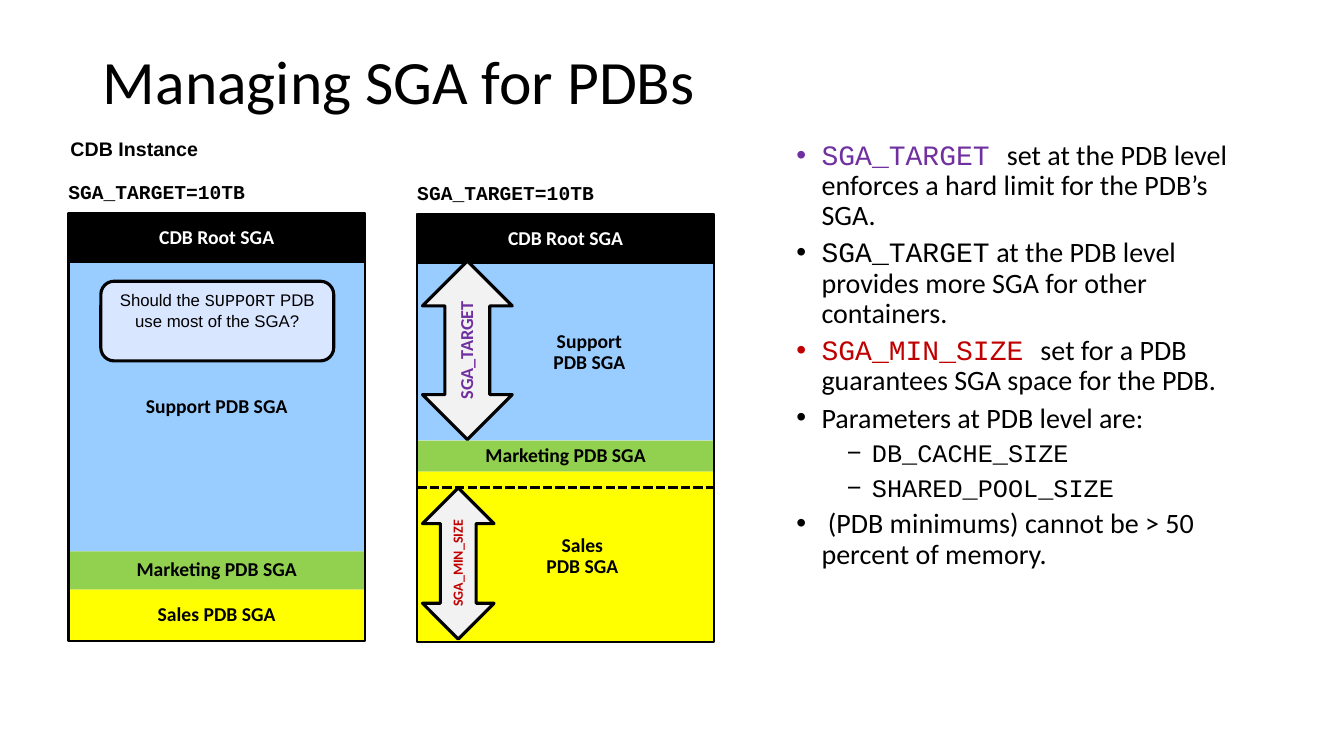
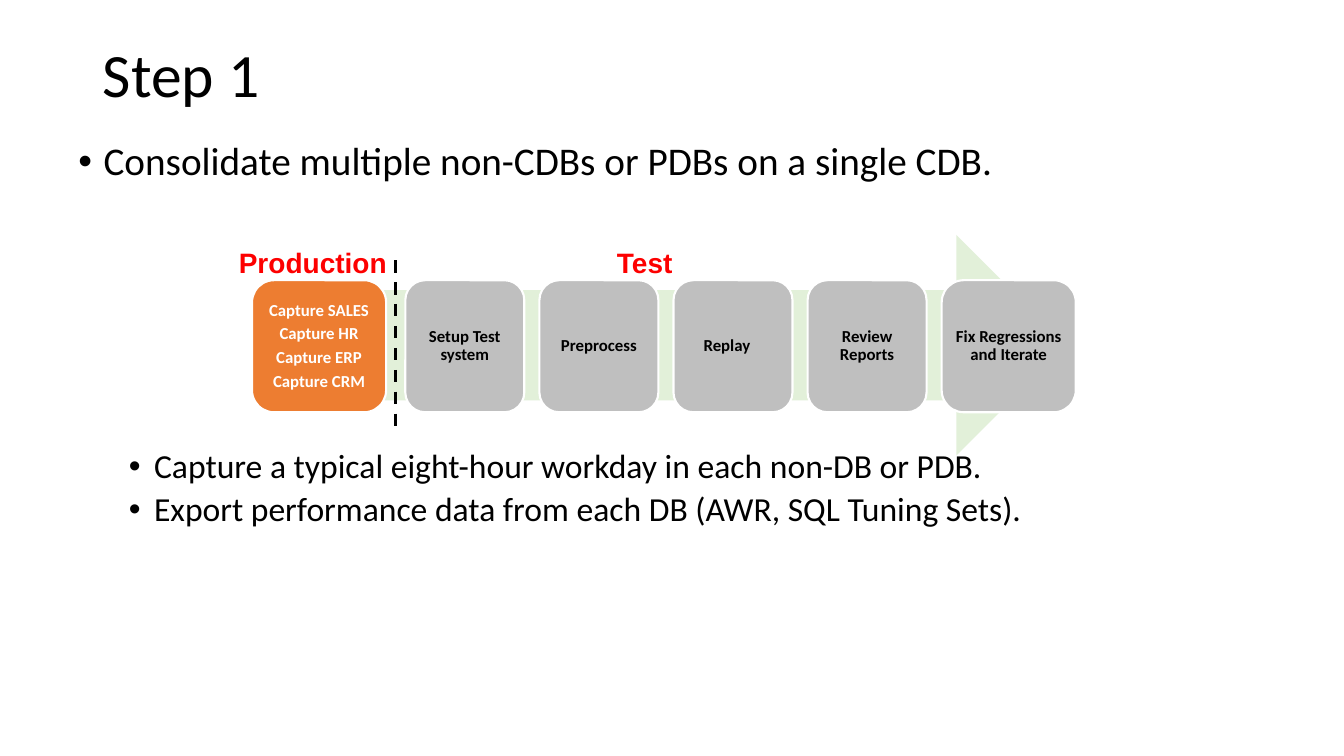
import pptx
import pptx.dml.color
import pptx.enum.dml
import pptx.enum.shapes
import pptx.enum.text
import pptx.oxml.ns
import pptx.util
from lxml import etree

Inches = pptx.util.Inches
Pt = pptx.util.Pt
Shapes = pptx.enum.shapes.MSO_SHAPE
Align = pptx.enum.text.PP_ALIGN
Anchor = pptx.enum.text.MSO_ANCHOR
Dash = pptx.enum.dml.MSO_LINE

BLACK = "000000"
WHITE = "FFFFFF"
SKY = "99CCFF"
GREEN = "92D050"
YELLOW = "FFFF00"
PURPLE = "7030A0"
DARK_RED = "C00000"
RED = "FD0000"
GREY = "BFBFBF"
ORANGE = "ED7D31"
PALE_GREEN = "E2F0D9"
PALE_GREY = "F2F2F2"
PALE_BLUE = "D9E6FF"
SANS = "Calibri"
LABEL = "Arial"
MONO = "Courier New"


def color(hex_value):
    return pptx.dml.color.RGBColor.from_string(hex_value)


def format_run(run, size, font, fill, bold):
    run.font.size = Pt(size)
    run.font.name = font
    run.font.bold = bold
    run.font.color.rgb = color(fill)


def write_text(shape, paragraphs, size=14, font=SANS, fill=BLACK, bold=False,
               align=Align.LEFT, anchor=Anchor.TOP, spacing=0.9, before=0, after=0,
               margins=(0.1, 0.05, 0.1, 0.05), wrap=True):
    frame = shape.text_frame
    frame.auto_size = pptx.enum.text.MSO_AUTO_SIZE.NONE
    frame.word_wrap = wrap
    frame.vertical_anchor = anchor
    frame.margin_left, frame.margin_top, frame.margin_right, frame.margin_bottom = map(Inches, margins)
    for index, runs in enumerate(paragraphs):
        paragraph = frame.add_paragraph() if index else frame.paragraphs[0]
        paragraph.alignment = align
        paragraph.line_spacing = spacing
        paragraph.space_before = Pt(before)
        paragraph.space_after = Pt(after)
        for part in [runs] if isinstance(runs, str) else runs:
            words, changes = (part, {}) if isinstance(part, str) else part
            run = paragraph.add_run()
            run.text = words
            format_run(run, **{"size": size, "font": font, "fill": fill, "bold": bold, **changes})
    return frame


def add_text(slide, box, paragraphs, **style):
    text_box = slide.shapes.add_textbox(*map(Inches, box))
    return write_text(text_box, paragraphs, **style)


def add_shape(slide, kind, box, fill=None, line=None, weight=2.25):
    shape = slide.shapes.add_shape(kind, *map(Inches, box))
    shape.shadow.inherit = False
    if fill:
        shape.fill.solid()
        shape.fill.fore_color.rgb = color(fill)
    else:
        shape.fill.background()
    if line:
        shape.line.color.rgb = color(line)
        shape.line.width = Pt(weight)
    else:
        shape.line.fill.background()
    return shape


def add_dashed_line(slide, start, end, dash):
    connector = slide.shapes.add_connector(
        pptx.enum.shapes.MSO_CONNECTOR.STRAIGHT, *map(Inches, start + end))
    connector.line.color.rgb = color(BLACK)
    connector.line.width = Pt(2.25)
    connector.line.dash_style = dash
    etree.SubElement(connector._element.spPr, pptx.oxml.ns.qn("a:effectLst"))


def add_bullet(paragraph, indent, character="•"):
    properties = paragraph._p.get_or_add_pPr()
    properties.set("marL", str(Inches(indent)))
    properties.set("indent", str(Inches(-0.25)))
    etree.SubElement(properties, pptx.oxml.ns.qn("a:buFont")).set("typeface", LABEL)
    etree.SubElement(properties, pptx.oxml.ns.qn("a:buChar")).set("char", character)


def add_bullets(slide, box, items, size, indent=0.75):
    frame = add_text(slide, box, [runs for level, runs in items], size=size, before=5)
    for paragraph, (level, runs) in zip(frame.paragraphs, items):
        add_bullet(paragraph, indent + 0.5 * level, "−" if level else "•")


def add_titled_slide(presentation, title, top):
    slide = presentation.slides.add_slide(presentation.slide_layouts[5])
    placeholder = slide.shapes.title
    placeholder.left, placeholder.top, placeholder.width, placeholder.height = map(
        Inches, (0.92, top, 11.26, 0.87))
    write_text(placeholder, [title], size=44, anchor=Anchor.MIDDLE)
    return slide


def add_memory_stack(slide, box, bands):
    left, top, width, height = box
    add_text(slide, (left - 0.1, top - 0.37, 1.97, 0.34), ["SGA_TARGET=10TB"],
             font=MONO, bold=True, spacing=1, wrap=False)
    band_top = top
    for lines, band_height, fill, text_left in bands:
        band = add_shape(slide, Shapes.RECTANGLE, (left, band_top, width, band_height), fill)
        write_text(band, lines, bold=True, fill=WHITE if fill == BLACK else BLACK,
                   align=Align.CENTER, anchor=Anchor.MIDDLE, margins=(text_left, 0.05, 0.1, 0.05))
        band_top += band_height
    add_shape(slide, Shapes.RECTANGLE, box, line=BLACK, weight=1.5)


def add_range_arrow(slide, box, label, size, fill):
    arrow = add_shape(slide, Shapes.UP_DOWN_ARROW, box, PALE_GREY, BLACK)
    frame = write_text(arrow, [label], size=size, fill=fill, bold=True,
                       align=Align.CENTER, anchor=Anchor.MIDDLE, margins=(0, 0, 0, 0))
    frame._txBody.bodyPr.set("vert", "vert270")


def add_unlimited_stack(slide, box):
    left, top, width, height = box
    add_memory_stack(slide, box, [
        (["CDB Root SGA"], 0.5, BLACK, 0.1),
        (["Support PDB SGA"], 2.86, SKY, 0.1),
        (["Marketing PDB SGA"], 0.38, GREEN, 0.1),
        (["Sales PDB SGA"], 0.51, YELLOW, 0.1),
    ])
    question = add_shape(slide, Shapes.ROUNDED_RECTANGLE,
                         (left + 0.32, top + 0.68, 2.31, 0.79), PALE_BLUE, BLACK)
    write_text(question, [["Should the ", ("SUPPORT", {"font": MONO}),
                           " PDB use most of the SGA?"]],
               size=12, font=LABEL, align=Align.CENTER, spacing=1)


def add_limited_stack(slide, box):
    left, top, width, height = box
    add_memory_stack(slide, box, [
        (["CDB Root SGA"], 0.5, BLACK, 0.1),
        (["Support", "PDB SGA"], 1.75, SKY, 0.57),
        (["Marketing PDB SGA"], 0.31, GREEN, 0.1),
        (["Sales", "PDB SGA"], 1.69, YELLOW, 0.43),
    ])
    add_range_arrow(slide, (left + 0.05, top + 0.47, 0.89, 1.77), "SGA_TARGET", 13, PURPLE)
    add_range_arrow(slide, (left + 0.05, top + 2.72, 0.71, 1.5), "SGA_MIN_SIZE", 10, DARK_RED)
    add_dashed_line(slide, (left, top + 2.72), (left + width, top + 2.72), Dash.SQUARE_DOT)


def build_memory_slide(presentation):
    slide = add_titled_slide(presentation, "Managing SGA for PDBs", 0.4)
    parameter = {"font": MONO, "size": 18}
    add_bullets(slide, (7.3, 1.35, 5.35, 4.99), [
        (0, [("SGA_TARGET ", {"font": MONO, "fill": PURPLE}),
             "set at the PDB level enforces a hard limit for the PDB’s SGA."]),
        (0, [("SGA_TARGET", {"font": MONO}),
             " at the PDB level provides more SGA for other containers."]),
        (0, [("SGA_MIN_SIZE ", {"font": MONO, "fill": DARK_RED}),
             "set for a PDB guarantees SGA space for the PDB."]),
        (0, "Parameters at PDB level are:"),
        (1, [("DB_CACHE_SIZE", parameter)]),
        (1, [("SHARED_POOL_SIZE", parameter)]),
        (0, " (PDB minimums) cannot be > 50 percent of memory."),
    ], size=20)
    add_text(slide, (0.6, 1.31, 2.41, 0.34), ["CDB Instance"], font=LABEL, bold=True, spacing=1)
    add_unlimited_stack(slide, (0.68, 2.11, 2.94, 4.25))
    add_limited_stack(slide, (4.14, 2.12, 2.94, 4.25))


def add_stage(slide, box, lines, fill, text_fill, text_right=0.05):
    stage = add_shape(slide, Shapes.ROUNDED_RECTANGLE, box, fill, WHITE, 1.5)
    write_text(stage, lines, size=12, fill=text_fill, bold=True, align=Align.CENTER,
               anchor=Anchor.MIDDLE, after=4, margins=(0.05, 0.05, text_right, 0.05))


def add_test_process(slide, box):
    left, top, width, height = box
    add_shape(slide, Shapes.RIGHT_ARROW, (left + 0.27, top, 7.81, height), PALE_GREEN)
    stage_top, stage_height = top + 0.45, 1.31
    add_stage(slide, (left, stage_top, 1.33, stage_height),
              ["Capture SALES", "Capture HR", "Capture ERP", "Capture CRM"], ORANGE, WHITE)
    stages = [("Setup Test system", 1.18, 0.05), ("Preprocess", 1.18, 0.05),
              ("Replay", 1.18, 0.17), ("Review Reports", 1.18, 0.05),
              ("Fix Regressions and Iterate", 1.33, 0.05)]
    for index, (label, stage_width, text_right) in enumerate(stages):
        add_stage(slide, (left + 1.52 + 1.33 * index, stage_top, stage_width, stage_height),
                  [label], GREY, BLACK, text_right)
    add_dashed_line(slide, (left + 1.42, top + 0.25), (left + 1.42, top + 1.99), Dash.DASH)
    for label, offset in (("Production", -0.23), ("Test", 3.52)):
        add_text(slide, (left + offset, top + 0.03, 2.08, 0.49), [label], size=20, font=LABEL,
                 fill=RED, bold=True, anchor=Anchor.MIDDLE, spacing=1)


def build_step_slide(presentation):
    slide = add_titled_slide(presentation, "Step 1", 0.33)
    add_bullets(slide, (0.68, 1.36, 11.97, 0.6),
                [(0, "Consolidate multiple non-CDBs or PDBs on a single CDB.")],
                size=28, indent=0.25)
    add_test_process(slide, (2.5, 2.33, 8.16, 2.19))
    add_bullets(slide, (0.68, 4.41, 11.97, 1.1), [
        (0, "Capture a typical eight-hour workday in each non-DB or PDB."),
        (0, "Export performance data from each DB (AWR, SQL Tuning Sets)."),
    ], size=24)


def main():
    presentation = pptx.Presentation()
    presentation.slide_width = Inches(13.33)
    presentation.slide_height = Inches(7.5)
    build_memory_slide(presentation)
    build_step_slide(presentation)
    presentation.save("out.pptx")


if __name__ == "__main__":
    main()
